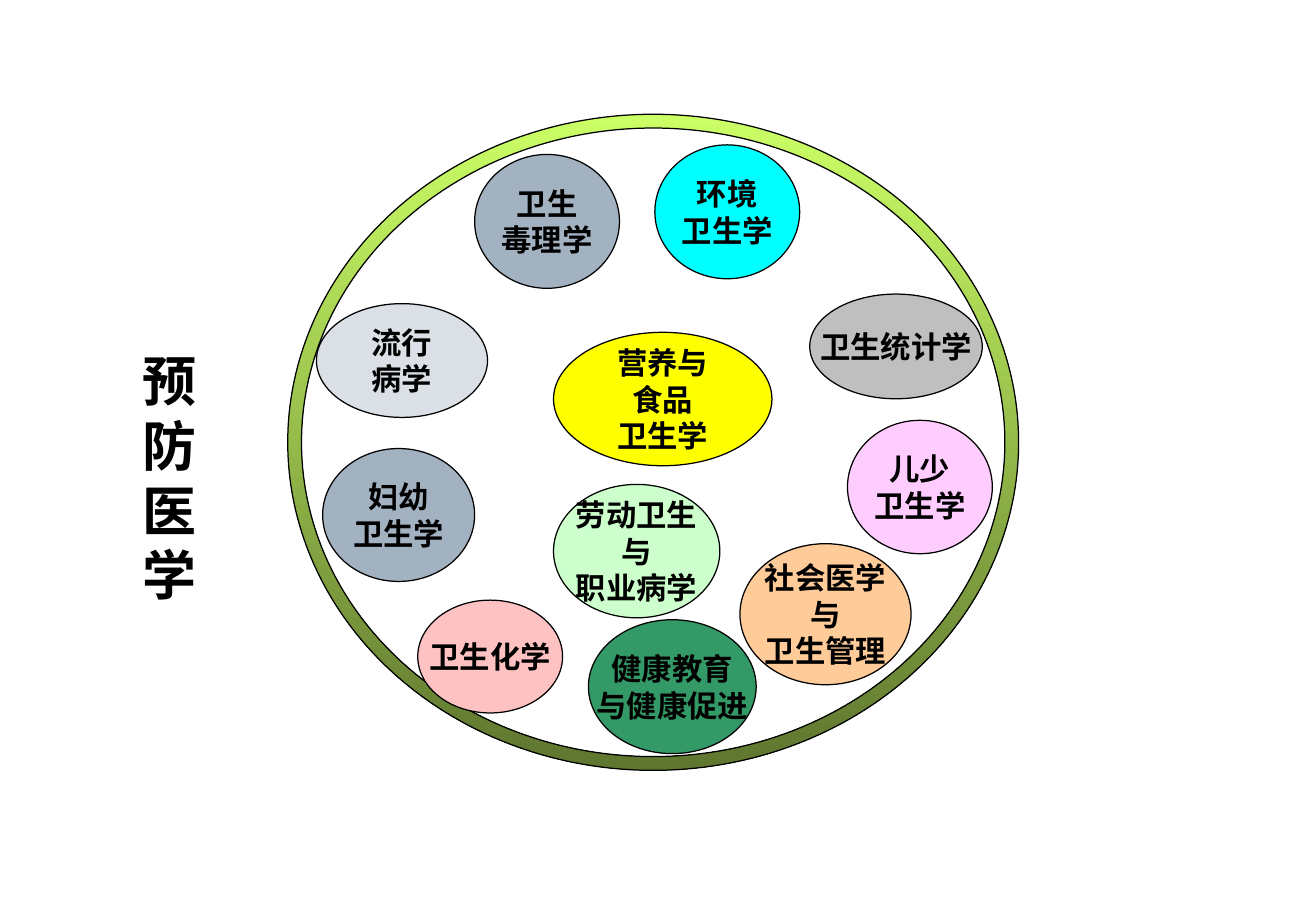
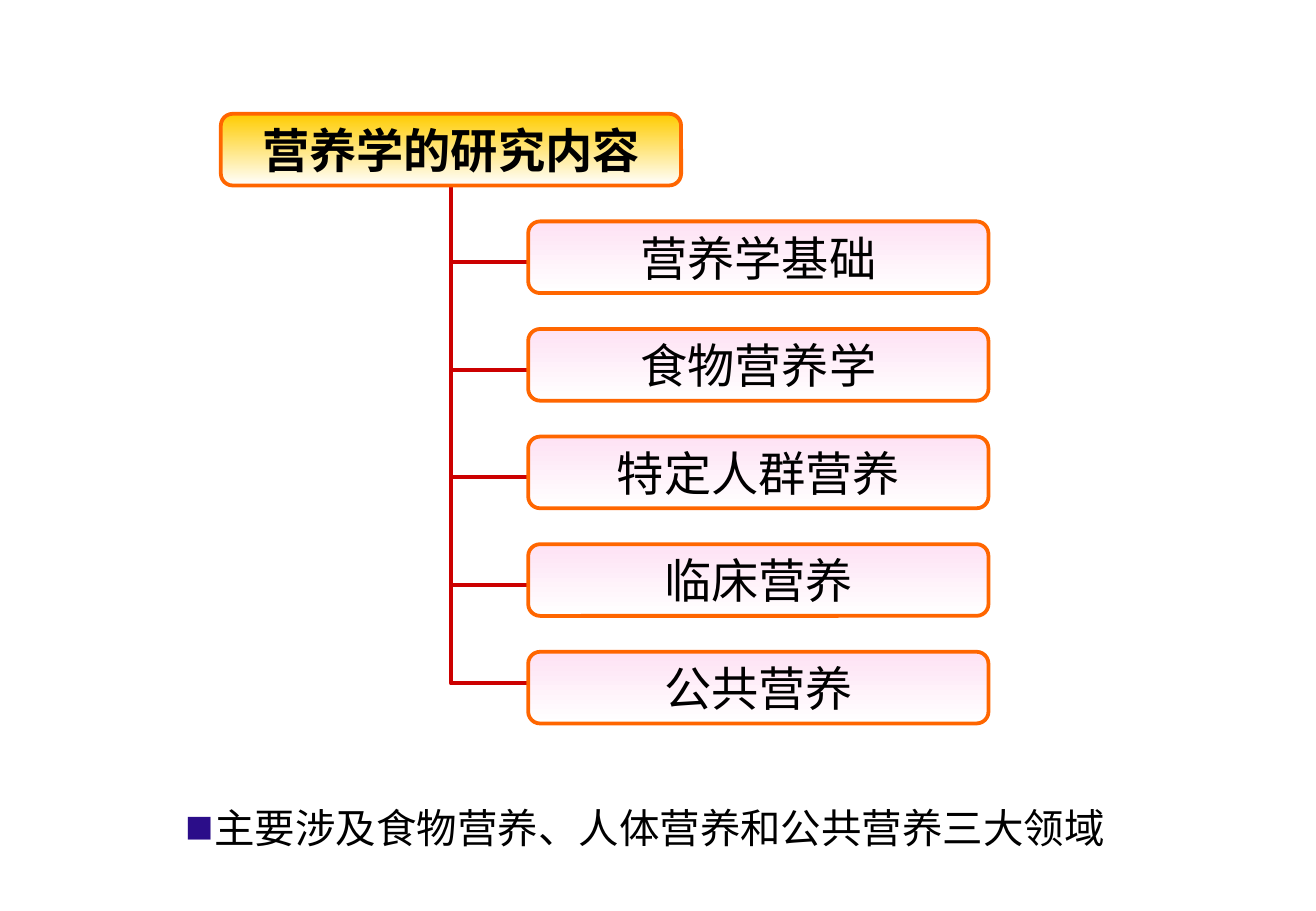
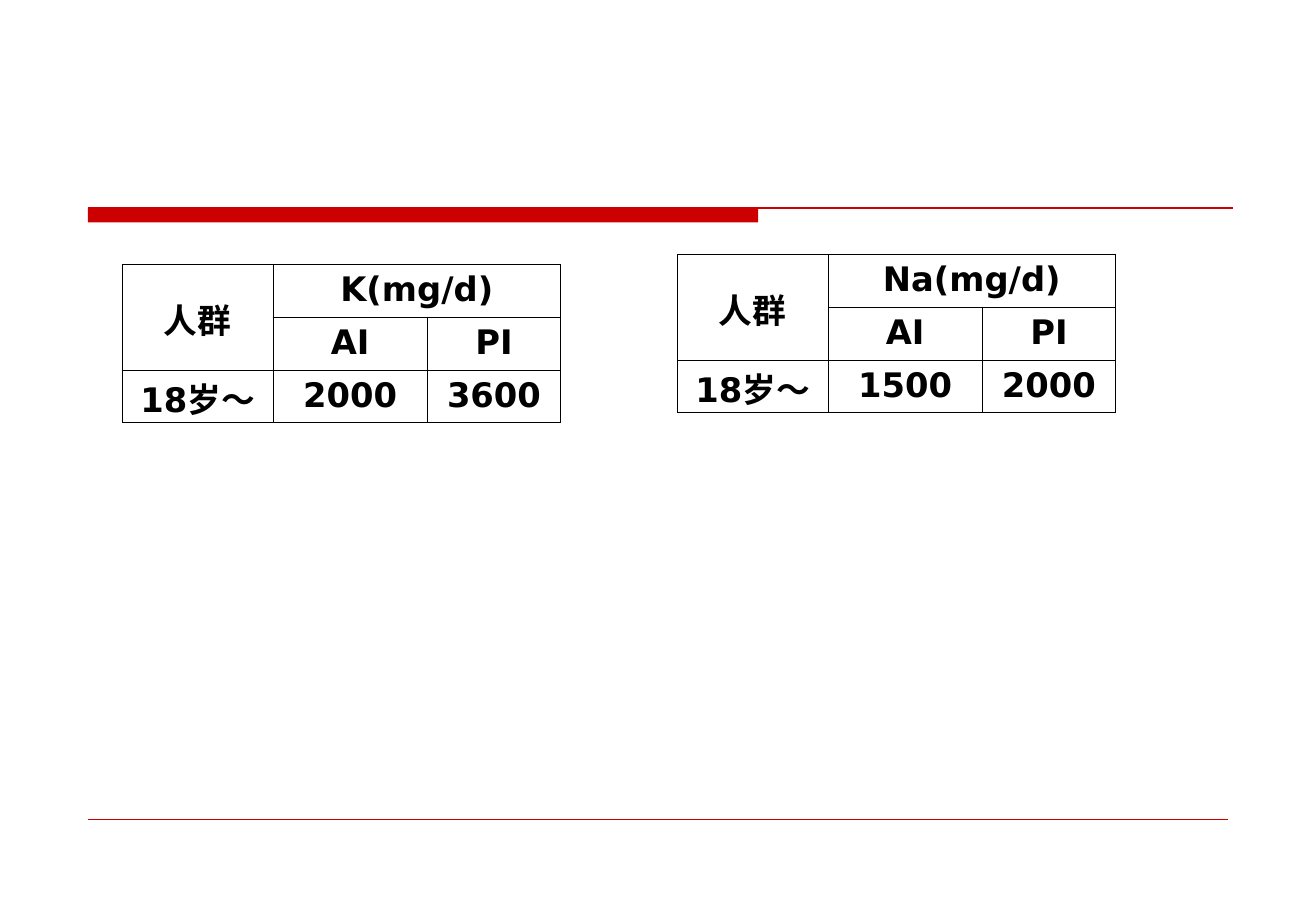
from lxml.etree import SubElement as Sub
from pptx import Presentation
from pptx.dml.color import RGBColor as Rgb
from pptx.enum.shapes import MSO_CONNECTOR as Conn, MSO_SHAPE as Kind
from pptx.enum.text import MSO_ANCHOR as Anchor, MSO_AUTO_SIZE as Auto, PP_ALIGN as Align
from pptx.oxml.ns import qn
from pptx.util import Cm, Pt

HUES = {
    "black": "000000", "red": "CC0000", "orange": "FF6600", "gold": "FFCC00",
    "white": "FFFFFF", "blush": "FEE2F4", "lime": "CCFF66", "olive": "5E762F",
    "yellow": "FFFF00", "slate": "A3B2C1", "mint": "CCFFCC", "cyan": "00FFFF",
    "pink": "FFCCFF", "mist": "DAE0E6", "peach": "FFCC99", "green": "339966",
    "rose": "FFC2C2", "grey": "BFBFBF", "indigo": "2B0D89",
}
SANS, SERIF, HAN = "DejaVu Sans", "Times New Roman", "Noto Sans CJK SC"

FIELDS = [
    ("营养与\n食品\n卫生学", "yellow", 11.58, 6.95, 4.57, 2.79),
    ("卫生\n毒理学", "slate", 9.93, 3.23, 3.03, 2.8),
    ("劳动卫生\n与\n职业病学", "mint", 11.58, 10.13, 3.48, 2.79),
    ("环境\n卫生学", "cyan", 13.7, 3.03, 3.03, 2.8),
    ("儿少\n卫生学", "pink", 17.73, 8.79, 3.03, 2.79),
    ("流行\n病学", "mist", 6.62, 6.35, 3.58, 2.38),
    ("社会医学\n与\n卫生管理", "peach", 15.48, 11.37, 3.58, 2.95),
    ("健康教育\n与健康促进", "green", 12.31, 12.96, 3.51, 2.8),
    ("卫生化学", "rose", 8.74, 12.55, 3.03, 2.36),
    ("卫生统计学", "grey", 16.94, 6.15, 3.61, 2.19),
    ("妇幼\n卫生学", "slate", 6.75, 9.38, 3.18, 2.78),
]
TOPICS = [
    ("营养学基础", 0.85), ("食物营养学", 0.85), ("特定人群营养", 0.85),
    ("临床营养", 0.85), ("公共营养", 0.66),
]
INTAKES = [("K", 2000, 3600, 2.56, 5.53), ("Na", 1500, 2000, 14.17, 5.32)]


def hue(name):
    """Return the named colour."""
    return Rgb.from_string(HUES[name])


def write(frame, text, size, face, bold=False, align=Align.CENTER):
    """Fill a text frame with one paragraph per line of text."""
    frame.text = text
    for para in frame.paragraphs:
        para.alignment = align
        font = para.font
        font.size, font.name, font.bold = Pt(size), face, bold
        font.color.rgb = hue("black")


def place(shape, x, y, w, h):
    """Move a placeholder and fix its text to the top."""
    shape.left, shape.top, shape.width, shape.height = map(Cm, (x, y, w, h))
    shape.text_frame.auto_size = Auto.NONE
    shape.text_frame.vertical_anchor = Anchor.TOP


def draw(slide, kind, box, fills, edge="black", width=0.75):
    """Add a preset shape with a plain fill or a downward gradient."""
    shape = slide.shapes.add_shape(kind, *map(Cm, box))
    shape.shadow.inherit = False
    if len(fills) == 1:
        shape.fill.solid()
        shape.fill.fore_color.rgb = hue(fills[0])
    else:
        shape.fill.gradient()
        shape.fill.gradient_angle = 270
        for stop, name in zip(shape.fill.gradient_stops, fills):
            stop.color.rgb = hue(name)
    if edge:
        shape.line.color.rgb = hue(edge)
        shape.line.width = Pt(width)
    else:
        shape.line.fill.background()
    return shape


def label(shape, text, size, face, bold):
    """Centre unwrapped text in a shape."""
    frame = shape.text_frame
    frame.word_wrap = False
    frame.vertical_anchor = Anchor.MIDDLE
    write(frame, text, size, face, bold)


def rule(slide, x1, y1, x2, y2, width, kind=Conn.STRAIGHT):
    """Add a red connector behind the other shapes."""
    line = slide.shapes.add_connector(kind, *map(Cm, (x1, y1, x2, y2)))
    line.line.color.rgb = hue("red")
    line.line.width = Pt(width)
    node = line._element
    Sub(node.spPr, qn("a:effectLst"))
    node.getparent().insert(2, node)
    return line


def branch(slide, x1, y1, x2, y2):
    """Add a connector that drops from the root and turns right once."""
    props = rule(slide, x1, y1, x2, y2, 2.25, Conn.ELBOW)._element.spPr
    props.find(qn("a:xfrm")).set("rot", "10800000")
    props.find(qn("a:prstGeom")).set("prst", "bentConnector2")


def card(slide, x, y, text, top, bold=False):
    """Add a rounded box of the topic tree."""
    box = draw(slide, Kind.ROUNDED_RECTANGLE, (x, y, 9.63, 1.5), (top, "white"), "orange", 2.25)
    label(box, text, 28, SERIF, bold)


def bullet(para, gap):
    """Give a paragraph a small square bullet and a hanging indent."""
    props = para._p.get_or_add_pPr()
    props.set("marL", str(Cm(gap)))
    props.set("indent", str(-Cm(gap)))
    tint = Sub(props, qn("a:buClr"))
    Sub(tint, qn("a:srgbClr"), val=HUES["indigo"])
    Sub(props, qn("a:buSzPct"), val="70000")
    Sub(props, qn("a:buFont"), typeface=HAN)
    Sub(props, qn("a:buChar"), char="■")
    props.append(props.find(qn("a:defRPr")))


def frame(cell):
    """Draw thin black borders round a clear cell."""
    props = cell._tc.get_or_add_tcPr()
    for side in ("lnL", "lnR", "lnT", "lnB"):
        edge = Sub(props, qn("a:" + side), w=str(Pt(0.45)))
        Sub(Sub(edge, qn("a:solidFill")), qn("a:srgbClr"), val=HUES["black"])
    cell.fill.background()


def grid(slide, name, ai, pi, x, y):
    """Add the intake table of one mineral."""
    rows = [("人群", f"{name}(mg/d)", ""), ("", "AI", "PI"), ("18岁～", str(ai), str(pi))]
    cols = (3.15, 3.23, 2.79)
    table = slide.shapes.add_table(3, 3, *map(Cm, (x, y, sum(cols), 3.3))).table
    table.first_row = table.horz_banding = False
    for col, width in zip(table.columns, cols):
        col.width = Cm(width)
    for r, row in enumerate(rows):
        for c, text in enumerate(row):
            cell = table.cell(r, c)
            frame(cell)
            cell.margin_left = cell.margin_right = Cm(0.28)
            if c == 0:
                cell.margin_top, cell.margin_bottom = Cm(0.08), Cm(0)
            if text:
                write(cell.text_frame, text, 20, SANS, True)
    table.cell(0, 0).merge(table.cell(1, 0))
    table.cell(0, 1).merge(table.cell(0, 2))
    table.cell(0, 0).vertical_anchor = Anchor.MIDDLE


def fields(deck):
    """Build the ring of subjects."""
    slide = deck.slides.add_slide(deck.slide_layouts[5])
    title = slide.shapes.title
    place(title, 2.26, 7.14, 2.59, 5.69)
    write(title.text_frame, "预\n防\n医\n学", 32, SANS, True)
    ring = draw(slide, Kind.DONUT, (6.02, 2.39, 15.29, 13.72), ("lime", "olive"))
    ring.adjustments[0] = 0.021
    for text, fill, *box in FIELDS:
        label(draw(slide, Kind.OVAL, box, (fill,)), text, 18, SANS, True)


def topics(deck):
    """Build the tree of research topics."""
    slide = deck.slides.add_slide(deck.slide_layouts[1])
    title, body = slide.placeholders
    title._element.getparent().remove(title._element)
    x, y, step = 4.62, 2.38, 2.25
    card(slide, x, y, "营养学的研究内容", "gold", True)
    for i, (text, drop) in enumerate(TOPICS, 1):
        top = y + i * step
        card(slide, 11.05, top, text, "blush")
        branch(slide, 9.43, y + 1.5, 11.05, top + drop)
    place(body, 3.63, 16.46, 23.01, 1.47)
    write(body.text_frame, "主要涉及食物营养、人体营养和公共营养三大领域", 24, HAN, align=Align.JUSTIFY)
    para = body.text_frame.paragraphs[0]
    para.line_spacing, para.space_before, para.space_after = 1.2, Pt(0), Pt(6)
    bullet(para, 0.6)


def intakes(deck):
    """Build the two mineral tables between red rules."""
    slide = deck.slides.add_slide(deck.slide_layouts[6])
    draw(slide, Kind.RECTANGLE, (1.84, 4.35, 14.02, 0.3), ("red",), None)
    rule(slide, 1.84, 4.35, 25.79, 4.35, 1)
    rule(slide, 1.84, 17.14, 25.68, 17.14, 0.25)
    for item in INTAKES:
        grid(slide, *item)


def main():
    """Build and save the deck."""
    deck = Presentation()
    deck.slide_width, deck.slide_height = Cm(27.53), Cm(19.05)
    for build in (fields, topics, intakes):
        build(deck)
    deck.save("out.pptx")


if __name__ == "__main__":
    main()
